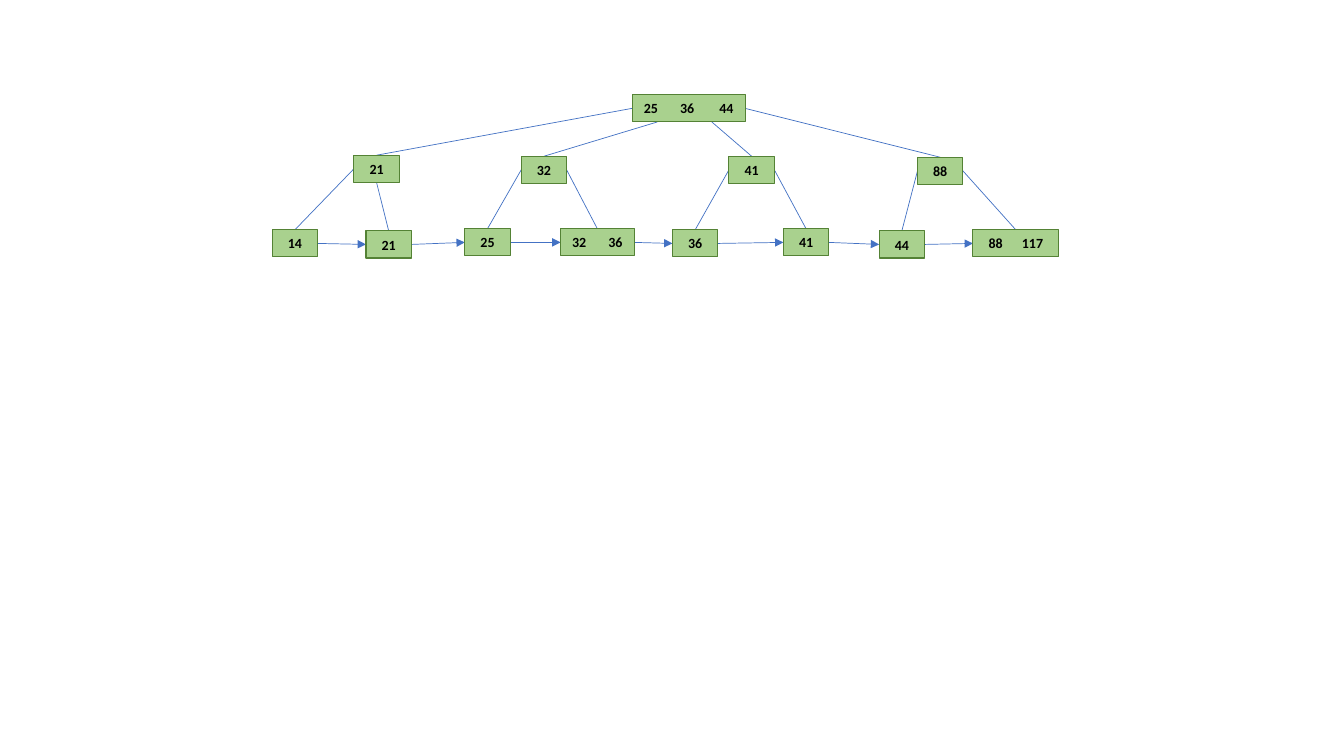
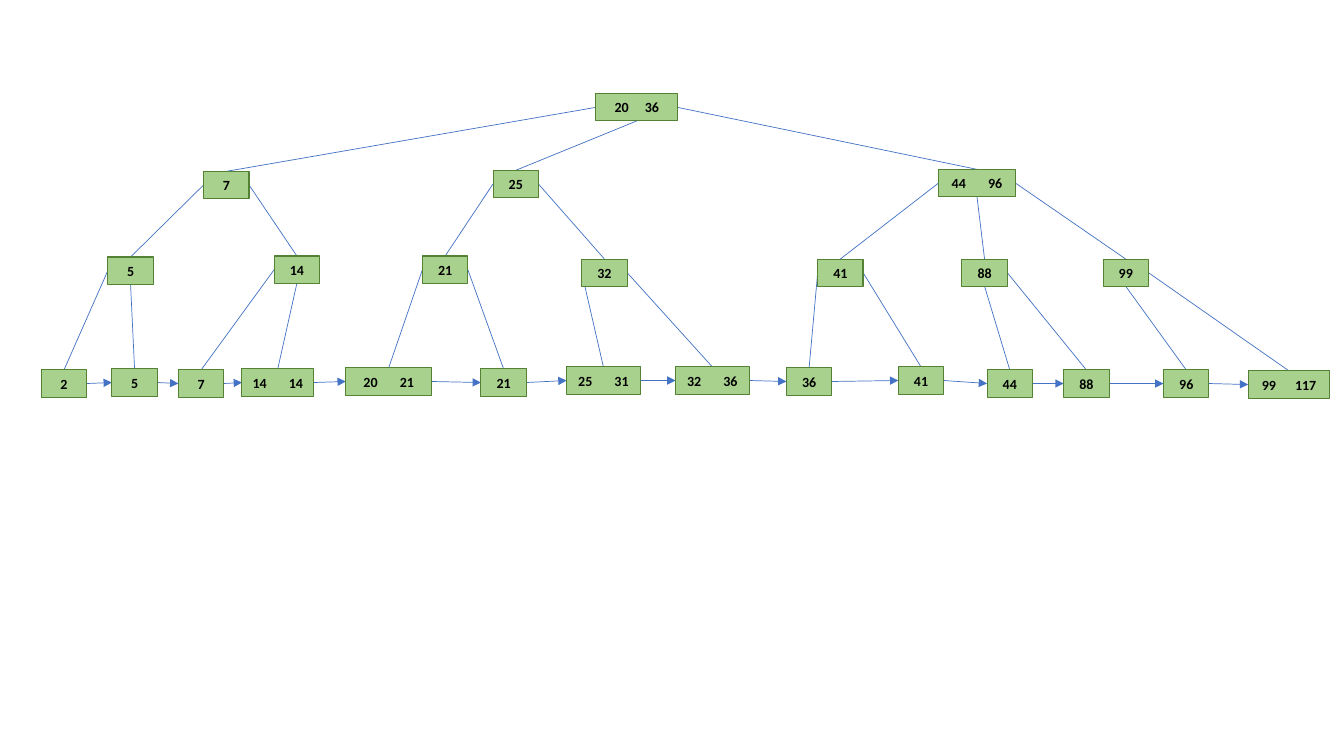
from dataclasses import dataclass
from enum import IntEnum
from itertools import accumulate, pairwise
from typing import Iterator

from lxml.etree import SubElement
from pptx import Presentation
from pptx.dml.color import RGBColor
from pptx.enum.shapes import MSO_CONNECTOR, MSO_SHAPE
from pptx.enum.text import MSO_ANCHOR, MSO_AUTO_SIZE, PP_ALIGN
from pptx.oxml.ns import qn
from pptx.shapes.autoshape import Shape
from pptx.shapes.connector import Connector
from pptx.slide import Slide
from pptx.util import Emu, Pt

SCALE = 9144  # EMU in one px, 100 px to the inch


def px(size: float) -> Emu:
    return Emu(round(size * SCALE))


@dataclass(frozen=True)
class Theme:
    fill: RGBColor = RGBColor(0xA9, 0xD1, 0x8E)
    edge: RGBColor = RGBColor(0x54, 0x82, 0x35)
    link: RGBColor = RGBColor(0x44, 0x72, 0xC4)
    ink: RGBColor = RGBColor(0, 0, 0)
    font: str = "Calibri"
    text: float = 10
    border: float = 0.75
    line: float = 0.5
    high: int = 27
    inset: int = 5
    digit: int = 7


THEME = Theme()


class Side(IntEnum):
    TOP = 0
    LEFT = 1
    BOTTOM = 2
    RIGHT = 3


L, B, R = Side.LEFT, Side.BOTTOM, Side.RIGHT


@dataclass(frozen=True)
class Node:
    """A tree box; a port that is no Side is an offset along the bottom edge."""
    keys: str
    x: int
    y: int
    kids: tuple["Node", ...] = ()
    ports: tuple[int, ...] = (L, R)
    wide: int = 45
    gaps: tuple[int, ...] = (22,)


TREES = (
    Node("25 36 44", 627, 94, (
        Node("21", 351, 154, (
            Node("14", 270, 228),
            Node("21", 363, 229)), (L, B)),
        Node("32", 517, 155, (
            Node("25", 461, 227),
            Node("32 36", 556, 227, wide=73))),
        Node("41", 723, 155, (
            Node("36", 667, 228),
            Node("41", 777, 227))),
        Node("88", 910, 156, (
            Node("44", 872, 229),
            Node("88 117", 965, 228, wide=85, gaps=(19,)))),
    ), (L, 25, 79, R), 112, (22, 25)),
    Node("20 36", 591, 93, (
        Node("7", 202, 170, (
            Node("5", 107, 255, (
                Node("2", 41, 367),
                Node("5", 111, 366)), (L, B)),
            Node("14", 272, 254, (
                Node("7", 177, 367),
                Node("14 14", 240, 366, wide=71)), (L, B)))),
        Node("25", 489, 169, (
            Node("21", 419, 254, (
                Node("20 21", 343, 365, wide=85),
                Node("21", 477, 366))),
            Node("32", 577, 257, (
                Node("25 31", 562, 364, wide=73),
                Node("32 36", 670, 364, wide=73))))),
        Node("44 96", 931, 168, (
            Node("41", 811, 257, (
                Node("36", 780, 365),
                Node("41", 891, 364))),
            Node("88", 954, 257, (
                Node("44", 979, 367),
                Node("88", 1055, 367)), (B, R)),
            Node("99", 1094, 257, (
                Node("96", 1154, 367),
                Node("99 117", 1238, 368, wide=81, gaps=(19,))), (B, R)),
        ), (L, B, R), 76),
    ), (L, B, R), 81, (16,)),
)


def write(shape: Shape, text: str, *, size: float = THEME.text,
          color: RGBColor = THEME.ink, bold: bool = True,
          align: PP_ALIGN = PP_ALIGN.CENTER, left: float = 0,
          tabs: tuple[float, ...] = ()) -> None:
    frame = shape.text_frame
    frame.word_wrap = True
    frame.auto_size = MSO_AUTO_SIZE.SHAPE_TO_FIT_TEXT
    frame.vertical_anchor = MSO_ANCHOR.MIDDLE
    frame.margin_left, frame.margin_right = px(left), 0
    frame.margin_top = frame.margin_bottom = px(THEME.inset)
    para = frame.paragraphs[0]
    para.alignment = align
    if tabs:
        stops = SubElement(para._p.get_or_add_pPr(), qn("a:tabLst"))
        for tab in tabs:
            SubElement(stops, qn("a:tab"), pos=str(px(tab)), algn="l")
    run = para.add_run()
    run.text = text
    font = run.font
    font.name, font.size, font.bold = THEME.font, Pt(size), bold
    font.color.rgb = color


def label(shape: Shape, node: Node) -> None:
    """Centre the keys as a group, with tab stops between them."""
    keys = node.keys.split()
    if len(keys) == 1:
        write(shape, node.keys)
        return
    widths = [len(key) * THEME.digit for key in keys]
    total = sum(widths) + sum(node.gaps)
    tabs = tuple(accumulate(w + g for w, g in zip(widths, node.gaps)))
    write(shape, "\t".join(keys), align=PP_ALIGN.LEFT,
          left=(node.wide - total) / 2, tabs=tabs)


def box(slide: Slide, node: Node) -> Shape:
    shape = slide.shapes.add_shape(MSO_SHAPE.RECTANGLE, px(node.x), px(node.y),
                                   px(node.wide), px(THEME.high))
    shape.shadow.inherit = False
    shape.fill.solid()
    shape.fill.fore_color.rgb = THEME.fill
    shape.line.color.rgb = THEME.edge
    shape.line.width = Pt(THEME.border)
    label(shape, node)
    return shape


def join(slide: Slide, start: Shape, port: int, end: Shape, side: Side,
         arrow: bool = False) -> Connector:
    """Link two boxes with a line that lies behind every box."""
    foot = start.top + start.height
    spot = start.left + px(port)
    line = slide.shapes.add_connector(MSO_CONNECTOR.STRAIGHT, spot, foot, spot, foot)
    if isinstance(port, Side):
        line.begin_connect(start, port)
    line.end_connect(end, side)
    line.line.color.rgb = THEME.link
    line.line.width = Pt(THEME.line)
    if arrow:
        SubElement(line.line._get_or_add_ln(), qn("a:tailEnd"), type="triangle")
    SubElement(line._element.spPr, qn("a:effectLst"))
    slide.shapes._spTree.insert(2, line._element)
    return line


def grow(slide: Slide, node: Node) -> tuple[Shape, list[Shape]]:
    """Draw a subtree; return its top box and its leaves from left to right."""
    top = box(slide, node)
    leaves: list[Shape] = []
    for kid, port in zip(node.kids, node.ports):
        child, ends = grow(slide, kid)
        join(slide, top, port, child, Side.TOP)
        leaves += ends
    return top, leaves or [top]


def main() -> None:
    deck = Presentation()
    deck.slide_width, deck.slide_height = px(1333), px(750)
    for tree in TREES:
        slide = deck.slides.add_slide(deck.slide_layouts[6])
        _, leaves = grow(slide, tree)
        for left, right in pairwise(leaves):
            join(slide, left, Side.RIGHT, right, Side.LEFT, arrow=True)
    deck.save("out.pptx")


if __name__ == "__main__":
    main()
